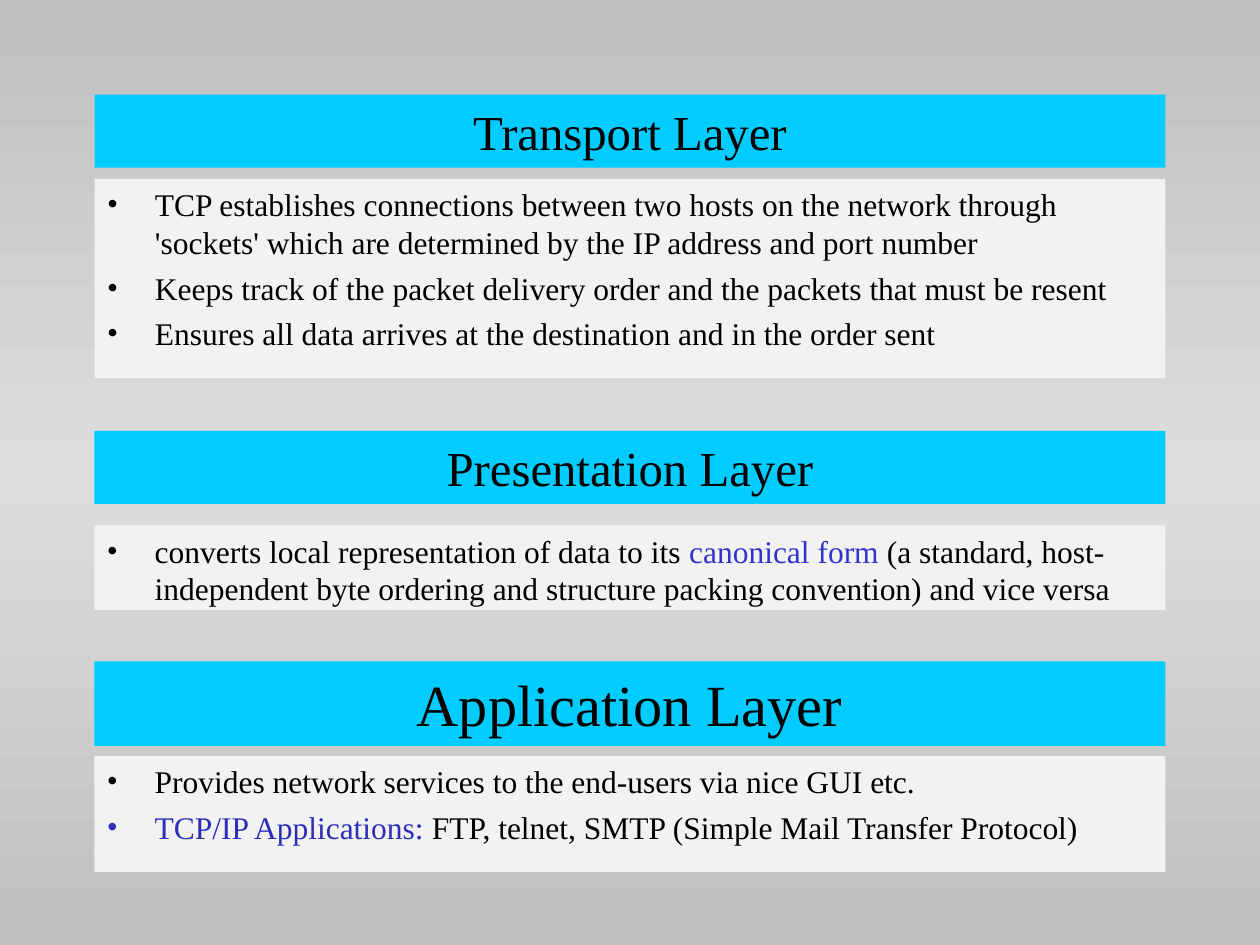
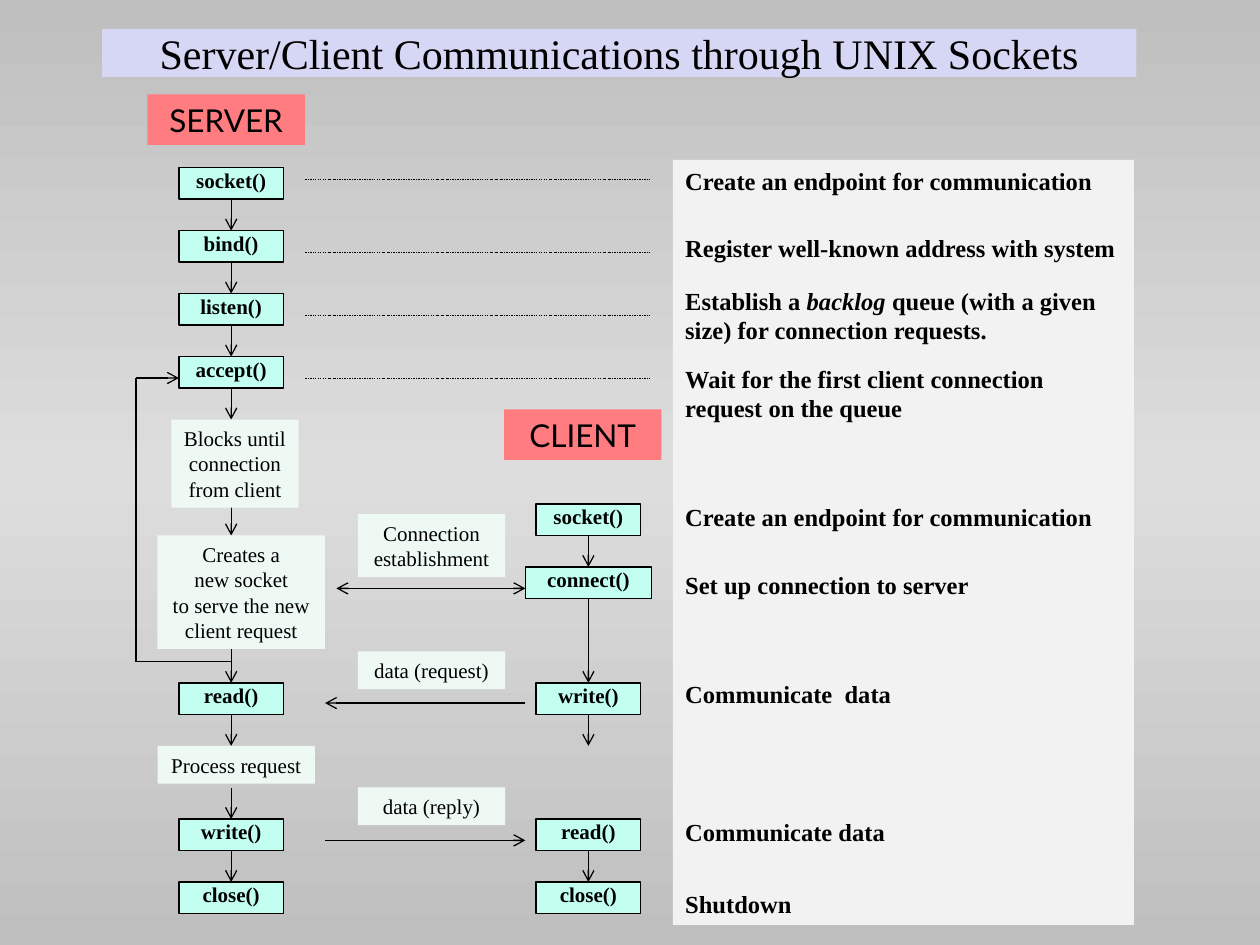
from copy import deepcopy

from lxml import etree
from pptx import Presentation
from pptx.dml.color import RGBColor
from pptx.enum.dml import MSO_LINE
from pptx.enum.shapes import MSO_CONNECTOR, MSO_SHAPE
from pptx.enum.text import MSO_ANCHOR, MSO_AUTO_SIZE, PP_ALIGN
from pptx.oxml.ns import qn
from pptx.util import Inches, Pt

RECTANGLE = MSO_SHAPE.RECTANGLE
STRAIGHT = MSO_CONNECTOR.STRAIGHT
DASH_DOT = MSO_LINE.DASH_DOT
TOP, MIDDLE = MSO_ANCHOR.TOP, MSO_ANCHOR.MIDDLE
LEFT, CENTER = PP_ALIGN.LEFT, PP_ALIGN.CENTER
FIXED_SIZE = MSO_AUTO_SIZE.NONE

SERIF, SANS = "Times New Roman", "Lato"
BLACK, PANEL, CYAN, LILAC = "000000", "F2F2F2", "00CCFF", "D6D6F5"
MINT, PALE_GREEN, SALMON = "C2FFF0", "EEF9F4", "FF7C80"
TERM_BLUE, LABEL_BLUE = "3333CC", "2D2DB9"
BACKGROUND_STOPS = [(0, "BFBFBF"), (0.5, "DDDDDD"), (1, "BFBFBF")]
LINE_HEIGHT = 1.2
TITLE_AND_CONTENT, TITLE_ONLY = 1, 5


def color(value):
    return RGBColor.from_string(value)


class Deck:
    """Shared style and the slide being filled."""

    def __init__(self):
        self.presentation = Presentation()
        self.presentation.slide_width = Inches(10)
        self.presentation.slide_height = Inches(7.5)
        self.slide = None
        self.set_background()

    def set_background(self):
        master = self.presentation.slide_master
        fill = master.background.fill
        fill.gradient()
        fill.gradient_angle = 90
        stop_list = next(master.element.iter(qn("a:gsLst")))
        stop_list.append(deepcopy(stop_list[-1]))
        for stop, (position, value) in zip(fill.gradient_stops, BACKGROUND_STOPS):
            stop.position = position
            stop.color.rgb = color(value)

    def new_slide(self, layout):
        layouts = self.presentation.slide_layouts
        self.slide = self.presentation.slides.add_slide(layouts[layout])

    def box(self, area, fill, line=None, shape=None):
        """Filled rectangle; a given placeholder is moved and filled instead."""
        bounds = [Inches(length) for length in area]
        if shape is None:
            shape = self.slide.shapes.add_shape(RECTANGLE, *bounds)
        else:
            shape.left, shape.top, shape.width, shape.height = bounds
        shape.shadow.inherit = False
        shape.fill.solid()
        shape.fill.fore_color.rgb = color(fill)
        if line:
            shape.line.color.rgb = color(line)
            shape.line.width = Pt(0.75)
        else:
            shape.line.fill.background()
        return shape

    def add_text(self, shape, paragraphs, size, align=CENTER, anchor=TOP,
                 font=SERIF, bold=False, margin=0.05, wrap=True):
        """Each paragraph is a string or a list of (text, color, italic)."""
        frame = shape.text_frame
        frame.auto_size = FIXED_SIZE
        frame.word_wrap = wrap
        frame.vertical_anchor = anchor
        frame.margin_left = frame.margin_right = Inches(0.1)
        frame.margin_top = frame.margin_bottom = Inches(margin)
        for index, content in enumerate(paragraphs):
            paragraph = frame.add_paragraph() if index else frame.paragraphs[0]
            paragraph.alignment = align
            paragraph.line_spacing = Pt(size * LINE_HEIGHT)
            parts = [(content, BLACK, False)] if isinstance(content, str) else content
            for text, value, italic in parts:
                run = paragraph.add_run()
                run.text = text
                run.font.name = font
                run.font.size = Pt(size)
                run.font.bold = bold
                run.font.italic = italic
                run.font.color.rgb = color(value)
        return frame.paragraphs

    def title(self, text, area, fill, size):
        shape = self.box(area, fill, shape=self.slide.shapes.title)
        self.add_text(shape, [text], size, anchor=MIDDLE)

    def heading(self, text, area, size):
        self.add_text(self.box(area, CYAN), [text], size, anchor=MIDDLE)

    def bullets(self, area, items, placeholder=None):
        shape = self.box(area, PANEL, shape=placeholder)
        for paragraph in self.add_text(shape, items, 18, align=LEFT):
            paragraph.space_before = Pt(4.5)
            properties = paragraph._p.get_or_add_pPr()
            properties.set("marL", str(Inches(0.38)))
            properties.set("indent", str(-Inches(0.38)))
            bullet_color = etree.SubElement(properties, qn("a:buClr"))
            etree.SubElement(bullet_color, qn("a:srgbClr"),
                             val=str(paragraph.runs[0].font.color.rgb))
            etree.SubElement(properties, qn("a:buFont"), typeface=SERIF)
            etree.SubElement(properties, qn("a:buChar"), char="•")

    def call(self, name, center, top, width=0.83):
        shape = self.box((center - width / 2, top, width, 0.25), MINT, line=BLACK)
        self.add_text(shape, [name], 12, bold=True, margin=0)

    def note(self, text, area):
        lines = text.split("\n")
        self.add_text(self.box(area, PALE_GREEN), lines, 12, wrap=len(lines) == 1)

    def role(self, text, left, top):
        self.add_text(self.box((left, top, 1.25, 0.4), SALMON), [text], 18, font=SANS)

    def line(self, start, end, head=False, tail=False, width=0.75, dash=None):
        connector = self.slide.shapes.add_connector(
            STRAIGHT, *[Inches(length) for length in (*start, *end)])
        connector.line.color.rgb = color(BLACK)
        connector.line.width = Pt(width)
        if dash:
            connector.line.dash_style = dash
        outline = connector.get_or_add_ln()
        for tag, wanted in (("a:headEnd", head), ("a:tailEnd", tail)):
            if wanted:
                etree.SubElement(outline, qn(tag), type="arrow")
        etree.SubElement(connector.element.spPr, qn("a:effectLst"))


def layers_slide(deck):
    deck.new_slide(TITLE_AND_CONTENT)
    left, width = 0.75, 8.5

    # Transport layer
    deck.title("Transport Layer", (left, 0.75, width, 0.58), CYAN, 27.9)
    deck.bullets((left, 1.42, width, 1.58), [
        "TCP establishes connections between two hosts on the network through "
        "'sockets' which are determined by the IP address and port number",
        "Keeps track of the packet delivery order and the packets that must be resent",
        "Ensures all data arrives at the destination and in the order sent",
    ], placeholder=deck.slide.placeholders[1])

    # Presentation layer
    deck.heading("Presentation Layer", (left, 3.42, width, 0.58), 27.9)
    deck.bullets((left, 4.17, width, 0.67), [[
        ("converts local representation of data to its ", BLACK, False),
        ("canonical form ", TERM_BLUE, False),
        ("(a standard, host-independent byte ordering and structure packing "
         "convention) and vice versa", BLACK, False),
    ]])

    # Application layer
    deck.heading("Application Layer", (left, 5.25, width, 0.67), 33.3)
    deck.bullets((left, 6, width, 0.92), [
        "Provides network services to the end-users via nice GUI etc.",
        [("TCP/IP Applications: ", LABEL_BLUE, False),
         ("FTP, telnet, SMTP (Simple Mail Transfer Protocol)", BLACK, False)],
    ])


def sockets_slide(deck):
    deck.new_slide(TITLE_ONLY)
    deck.title("Server/Client Communications through UNIX Sockets",
               (0.81, 0.23, 8.21, 0.38), LILAC, 24)
    server, client = 1.835, 4.67

    # Downward flow in both columns
    flows = {
        server: [(1.58, 1.83), (2.08, 2.33), (2.58, 2.83), (3.08, 3.33), (4, 4.25),
                 (5.08, 5.42), (5.67, 5.92), (6.25, 6.5), (6.75, 7)],
        client: [(4.25, 4.5), (4.75, 5.42), (5.67, 5.92), (6.75, 7)],
    }
    for center, steps in flows.items():
        for top, bottom in steps:
            deck.line((center, top), (center, bottom), tail=True)

    # Loop back to accept()
    deck.line((server, 5.25), (1.08, 5.25))
    deck.line((1.08, 5.25), (1.08, 3))
    deck.line((1.08, 3), (1.42, 3), tail=True)

    # Messages between server and client
    deck.line((2.67, 4.67), (4.17, 4.67), head=True, tail=True)
    deck.line((4.17, 5.58), (2.58, 5.58), tail=True)
    deck.line((2.58, 6.67), (4.17, 6.67), tail=True)
    for text, top, height in [("Connection establishment", 4.08, 0.5),
                              ("data (request)", 5.17, 0.3),
                              ("data (reply)", 6.25, 0.3)]:
        deck.note(text, (2.84, top, 1.17, height))

    # Dotted guides to the explanations
    for y in (1.42, 2, 2.5, 3):
        deck.line((2.42, y), (5.17, y), width=0.25, dash=DASH_DOT)

    # Explanations, each with the gap above it in points
    explanations = [
        ("Create an endpoint for communication", 0),
        ("Register well-known address with system", 21.6),
        ([("Establish a ", BLACK, False), ("backlog", BLACK, True),
          (" queue (with a given size) for connection requests.", BLACK, False)], 13.2),
        ("Wait for the first client connection request on the queue", 10.8),
        ("Create an endpoint for communication", 45.6),
        ("Set up connection to server", 21.6),
        ("Communicate  data", 45.6),
        ("Communicate data", 62.4),
        ("Shutdown", 24),
    ]
    panel = deck.box((5.34, 1.27, 3.66, 6.07), PANEL)
    paragraphs = deck.add_text(panel, [text for text, gap in explanations], 14,
                               align=LEFT, bold=True)
    for paragraph, (text, gap) in zip(paragraphs, explanations):
        paragraph.space_before = Pt(gap)

    # System calls
    for name, top in [("socket()", 1.33), ("bind()", 1.83), ("listen()", 2.33),
                      ("accept()", 2.83), ("read()", 5.42), ("write()", 6.5),
                      ("close()", 7)]:
        deck.call(name, server, top)
    for name, top, width in [("socket()", 4, 0.83), ("connect()", 4.5, 1),
                             ("write()", 5.42, 0.83), ("read()", 6.5, 0.83),
                             ("close()", 7, 0.83)]:
        deck.call(name, client, top, width)

    # Server activity and role labels
    deck.note("Blocks until\nconnection\nfrom client", (1.36, 3.33, 1.01, 0.7))
    deck.note("Creates a\nnew socket\nto serve the new\nclient request",
              (1.25, 4.25, 1.33, 0.9))
    deck.note("Process request", (1.25, 5.92, 1.25, 0.3))
    deck.role("SERVER", 1.17, 0.75)
    deck.role("CLIENT", 4, 3.25)


def main():
    deck = Deck()
    layers_slide(deck)
    sockets_slide(deck)
    deck.presentation.save("out.pptx")


if __name__ == "__main__":
    main()
